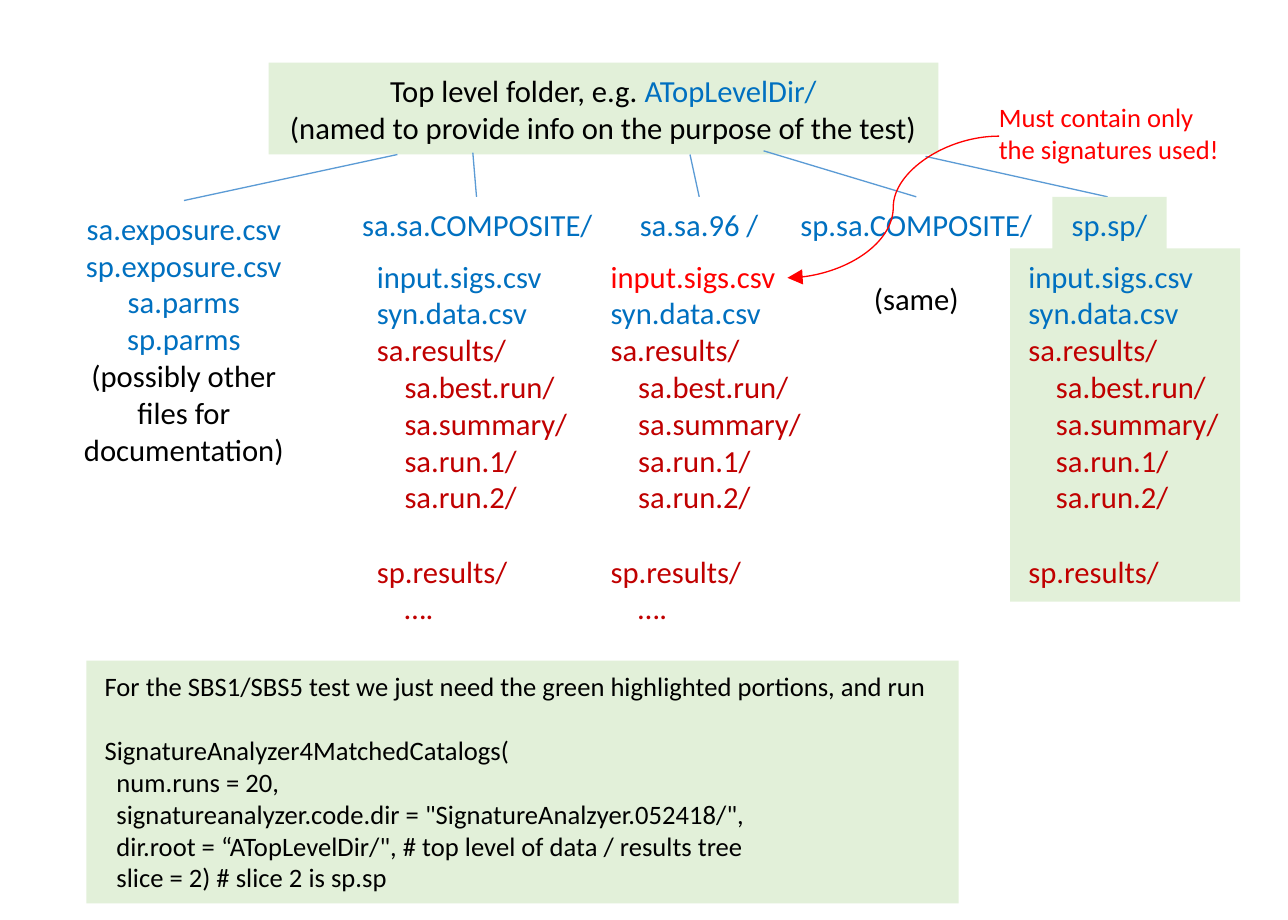
"""Folder layout of a signature test, drawn as a tree of files."""
import dataclasses

import lxml.etree
import pptx
import pptx.dml.color
import pptx.enum.shapes
import pptx.enum.text
import pptx.oxml.ns
import pptx.util

ALIGN = pptx.enum.text.PP_ALIGN
LINK = pptx.enum.shapes.MSO_CONNECTOR


@dataclasses.dataclass(frozen=True)
class Theme:
    """Colours, type sizes and font of the slide."""
    ink: str = "000000"
    file: str = "0070C0"
    result: str = "C00000"
    alert: str = "FF0000"
    branch: str = "5B9BD5"
    needed: str = "E2F0D9"
    font: str = "Calibri"
    body: float = 12
    small: float = 10.4
    leading: float = 1.22
    stroke: float = 0.5


@dataclasses.dataclass(frozen=True)
class Line:
    """One paragraph: its spans, its indent in columns, its gap in lines."""
    spans: tuple
    indent: float = 0
    gap: int = 0


def line(text, color, indent=0, gap=0):
    """Return a paragraph made of a single span."""
    return Line(((text, color),), indent, gap)


def rgb(color):
    """Return a colour object for a hex string."""
    return pptx.dml.color.RGBColor.from_string(color)


def write(para, text, *, font, size, color):
    """Add a formatted span of text to a paragraph."""
    span = para.add_run()
    span.text = text
    span.font.name = font
    span.font.size = pptx.util.Pt(size)
    span.font.color.rgb = rgb(color)


class Sketch:
    """Draws on one page with a grid of 70 columns and 50 rows."""

    def __init__(self, page, theme, cell):
        """Keep the page, the theme and the grid cell."""
        self.page, self.theme, self.cell = page, theme, cell

    def grid(self, *counts):
        """Turn counts of columns or rows into lengths."""
        return [round(count * self.cell) for count in counts]

    def text(self, place, lines, *, size=None, align=ALIGN.LEFT, fill=None,
             wrap=True, right=1):
        """Add a text box, or a filled rectangle holding text."""
        size = size or self.theme.body
        shapes = self.page.shapes
        if fill:
            box = shapes.add_shape(pptx.enum.shapes.MSO_SHAPE.RECTANGLE, *self.grid(*place))
            box.shadow.inherit = False
            box.fill.solid()
            box.fill.fore_color.rgb = rgb(fill)
            box.line.fill.background()
        else:
            box = shapes.add_textbox(*self.grid(*place))
        frame = box.text_frame
        frame.word_wrap = wrap
        frame.vertical_anchor = pptx.enum.text.MSO_ANCHOR.TOP
        frame.margin_left, frame.margin_right = self.grid(1, right)
        frame.margin_top, frame.margin_bottom = self.grid(0.5, 0.5)
        for number, item in enumerate(lines):
            para = frame.add_paragraph() if number else frame.paragraphs[0]
            para.alignment = align
            if item.gap:
                para.space_before = pptx.util.Pt(item.gap * size * self.theme.leading)
            if item.indent:
                para._p.get_or_add_pPr().set("marL", str(self.grid(item.indent)[0]))
            for text, color in item.spans:
                write(para, text, font=self.theme.font, size=size, color=color)

    def link(self, start, end, color, *, kind=LINK.STRAIGHT, arrow=False):
        """Add a connector, with an arrowhead at its end if asked."""
        wire = self.page.shapes.add_connector(kind, *self.grid(*start, *end))
        wire.line.color.rgb = rgb(color)
        wire.line.width = pptx.util.Pt(self.theme.stroke)
        qn = pptx.oxml.ns.qn
        properties = wire._element.spPr
        if arrow:
            outline = properties.find(qn("a:ln"))
            lxml.etree.SubElement(outline, qn("a:tailEnd"), type="triangle")
        lxml.etree.SubElement(properties, qn("a:effectLst"))


def folder(theme, input_color, more=True):
    """List the contents of one data folder."""
    lines = [line("input.sigs.csv", input_color), line("syn.data.csv", theme.file),
             line("sa.results/", theme.result)]
    lines += [line(name, theme.result, indent=1.5)
              for name in ("sa.best.run/", "sa.summary/", "sa.run.1/", "sa.run.2/")]
    lines.append(line("sp.results/", theme.result, gap=1))
    if more:
        lines.append(line("….", theme.result, indent=1.5))
    return lines


def build(sketch):
    """Draw the whole tree of folders."""
    theme = sketch.theme
    centred = {"align": ALIGN.CENTER, "wrap": False}

    sketch.text((14.6, 3.4, 36.4, 5), [
        Line((("Top level folder, e.g. ", theme.ink), ("ATopLevelDir/", theme.file))),
        line("(named to provide info on the purpose of the test)", theme.ink),
    ], fill=theme.needed, **centred)

    top_files = ("sa.exposure.csv", "sp.exposure.csv", "sa.parms", "sp.parms")
    sketch.text((2.7, 10.9, 14.6, 15.1),
                [line(name, theme.file) for name in top_files]
                + [line("(possibly other files for documentation)", theme.ink)],
                align=ALIGN.CENTER)

    same = line("(same)", theme.ink, gap=1)
    for left, width, height, name, below in (
            (18.6, 14.7, 3, "sa.sa.COMPOSITE/", []),
            (33.7, 8.6, 3, "sa.sa.96 /", []),
            (42.4, 14.8, 7.1, "sp.sa.COMPOSITE/", [same])):
        sketch.text((left, 10.7, width, height), [line(name, theme.file)] + below, **centred)

    for left, height, color, fill in ((54.9, 19.2, theme.file, theme.needed),
                                      (19.5, 21.2, theme.file, None),
                                      (32.2, 21.2, theme.alert, None)):
        sketch.text((left, 13.5, 12.5, height), folder(theme, color, more=not fill),
                    fill=fill, right=0)

    for start, end in (((21.6, 8.4), (10, 10.9)), ((25.7, 8.3), (25.9, 10.7)),
                       ((37.5, 8.4), (38, 10.7)), ((41.5, 8.2), (49.8, 10.7)),
                       ((50.3, 8.5), (60.2, 10.7))):
        sketch.link(start, end, theme.branch)

    sketch.text((57.2, 10.7, 6.2, 3), [line("sp.sp/", theme.file)],
                fill=theme.needed, **centred)

    arguments = ("num.runs = 20,",
                 'signatureanalyzer.code.dir = "SignatureAnalzyer.052418/",',
                 'dir.root = “ATopLevelDir/", # top level of data / results tree',
                 "slice = 2) # slice 2 is sp.sp")
    sketch.text((4.7, 35.9, 47.4, 13.2), [
        line("For the SBS1/SBS5 test we just need the green highlighted portions, and run",
             theme.ink),
        line("SignatureAnalyzer4MatchedCatalogs(", theme.ink, gap=1),
    ] + [line(argument, theme.ink, indent=0.65) for argument in arguments],
        size=theme.small, fill=theme.needed)

    sketch.link((54.3, 7.4), (42.8, 15.1), theme.alert, kind=LINK.CURVE, arrow=True)
    sketch.text((53.3, 5, 14.1, 4.5),
                [line("Must contain only the signatures used!", theme.alert)],
                size=theme.small)


deck = pptx.Presentation()
deck.slide_width, deck.slide_height = pptx.util.Inches(7), pptx.util.Inches(5)
blank = deck.slide_layouts[6]
build(Sketch(deck.slides.add_slide(blank), Theme(), deck.slide_width / 70))
deck.save("out.pptx")
